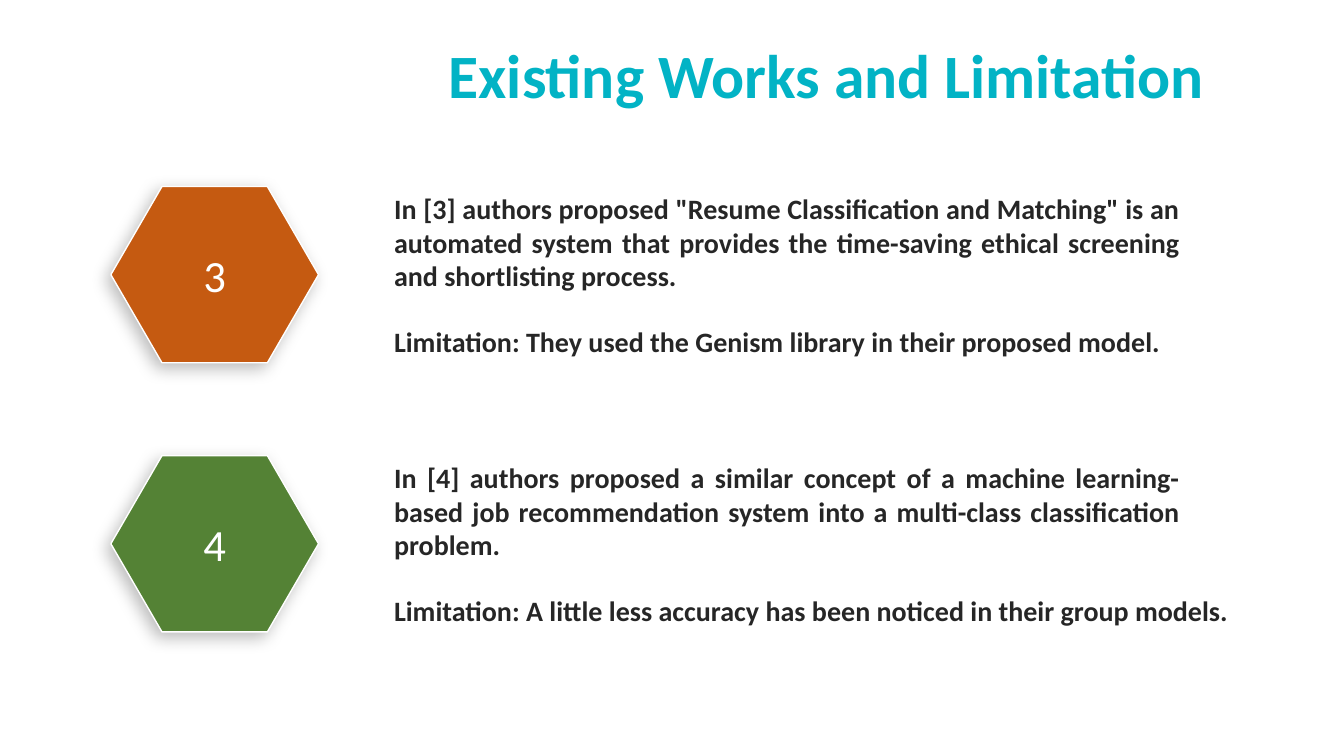
from dataclasses import dataclass

import lxml.etree
import pptx
import pptx.dml.color
import pptx.enum.shapes
import pptx.enum.text
import pptx.oxml
import pptx.oxml.ns
import pptx.shapes.autoshape
import pptx.slide
import pptx.text.text
import pptx.util

RGBColor = pptx.dml.color.RGBColor
Alignment = pptx.enum.text.PP_ALIGN

WIDTH = pptx.util.Inches(13.33)
HEIGHT = pptx.util.Inches(7.5)
FONT = "Calibri"

TURQUOISE = RGBColor(0x02, 0xB3, 0xC5)
ORANGE = RGBColor(0xC5, 0x5A, 0x11)
GREEN = RGBColor(0x54, 0x82, 0x35)
CHARCOAL = RGBColor(0x26, 0x26, 0x26)
WHITE = RGBColor(0xFF, 0xFF, 0xFF)

# Row positions, in percent of the slide height
FIRST_ROW = 24.67
ROW_PITCH = 35.6
LIMITATION_OFFSET = 17.6

SHADOW = (
    f'<a:effectLst {pptx.oxml.ns.nsdecls("a")}>'
    '<a:outerShdw blurRad="152400" dist="63500" dir="8100000" algn="tr" rotWithShape="0">'
    '<a:srgbClr val="000000"><a:alpha val="26000"/></a:srgbClr>'
    "</a:outerShdw></a:effectLst>"
)


@dataclass(frozen=True)
class Box:
    """A rectangle in percent of the slide's width and height."""

    left: float
    top: float
    width: float
    height: float

    def lengths(self) -> tuple[int, int, int, int]:
        return (
            round(WIDTH * self.left / 100),
            round(HEIGHT * self.top / 100),
            round(WIDTH * self.width / 100),
            round(HEIGHT * self.height / 100),
        )


@dataclass(frozen=True)
class Work:
    number: str
    color: RGBColor
    summary: str
    limitation: str


WORKS = [
    Work(
        "3",
        ORANGE,
        'In [3] authors proposed "Resume Classification and Matching" is an automated '
        "system that provides the time-saving ethical screening and shortlisting process.",
        "Limitation: They used the Genism library in their proposed model.",
    ),
    Work(
        "4",
        GREEN,
        "In [4] authors proposed a similar concept of a machine learning-based job "
        "recommendation system into a multi-class classification problem.",
        "Limitation: A little less accuracy has been noticed in their group models.",
    ),
]


def write(
    frame: pptx.text.text.TextFrame,
    text: str,
    size: float,
    color: RGBColor,
    alignment: Alignment,
    bold: bool = True,
) -> None:
    frame.word_wrap = True
    paragraph = frame.paragraphs[0]
    paragraph.text = text
    paragraph.alignment = alignment
    paragraph.font.name = FONT
    paragraph.font.size = pptx.util.Pt(size)
    paragraph.font.bold = bold
    paragraph.font.color.rgb = color


def add_text(
    slide: pptx.slide.Slide,
    box: Box,
    text: str,
    size: float = 20,
    color: RGBColor = CHARCOAL,
    alignment: Alignment = Alignment.JUSTIFY,
) -> None:
    shape = slide.shapes.add_textbox(*box.lengths())
    write(shape.text_frame, text, size, color, alignment)


def add_hexagon(slide: pptx.slide.Slide, box: Box, work: Work) -> None:
    shape = slide.shapes.add_shape(pptx.enum.shapes.MSO_SHAPE.HEXAGON, *box.lengths())
    shape.adjustments[0] = 0.29
    shape.fill.solid()
    shape.fill.fore_color.rgb = work.color
    shape.line.color.rgb = WHITE
    shape.line.width = pptx.util.Pt(1)
    shape._element.spPr.append(lxml.etree.fromstring(SHADOW, pptx.oxml.oxml_parser))
    shape.text_frame.vertical_anchor = pptx.enum.text.MSO_ANCHOR.MIDDLE
    write(shape.text_frame, work.number, 31.9, WHITE, Alignment.CENTER, bold=False)


def add_work(slide: pptx.slide.Slide, work: Work, top: float) -> None:
    add_hexagon(slide, Box(8.25, top, 15.45, 23.33), work)
    add_text(slide, Box(28.58, top, 59.94, 14.8), work.summary)
    add_text(slide, Box(28.58, top + LIMITATION_OFFSET, 64.06, 5.87), work.limitation)


def main() -> None:
    presentation = pptx.Presentation()
    presentation.slide_width = WIDTH
    presentation.slide_height = HEIGHT
    slide = presentation.slides.add_slide(presentation.slide_layouts[6])

    title_box = Box(23.63, 4.27, 75.77, 11.2)
    add_text(slide, title_box, "Existing Works and Limitation", 44, TURQUOISE, Alignment.CENTER)
    for row, work in enumerate(WORKS):
        add_work(slide, work, FIRST_ROW + row * ROW_PITCH)

    presentation.save("out.pptx")


if __name__ == "__main__":
    main()
